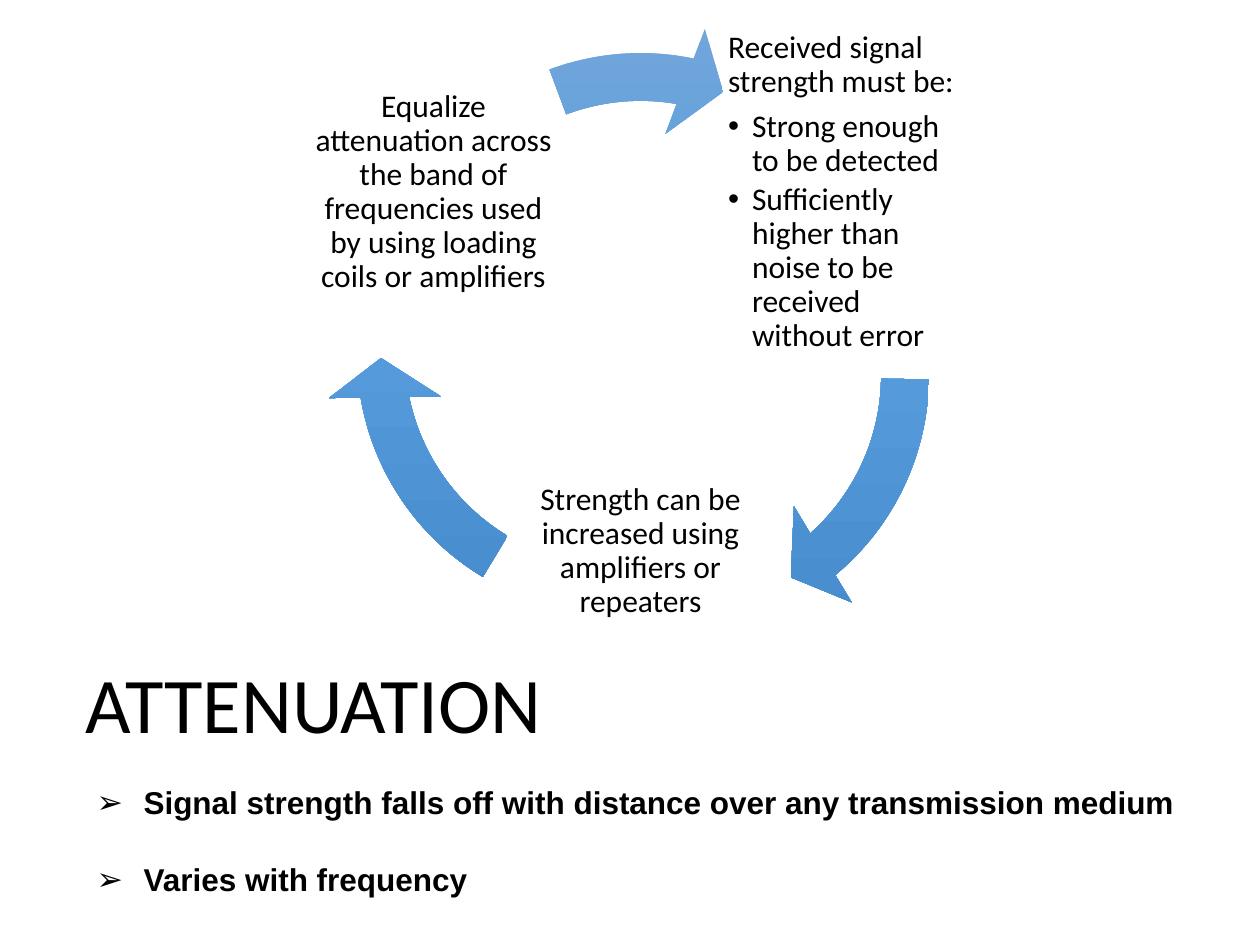
"""Build the attenuation slide: a three-step cycle above a title and a bullet list."""

import copy
from dataclasses import dataclass
from typing import Any

import pptx
import pptx.dml.color
import pptx.enum.shapes
import pptx.enum.text
import pptx.oxml.ns
import pptx.util
from lxml import etree

ALIGN = pptx.enum.text.PP_ALIGN
ANCHOR = pptx.enum.text.MSO_ANCHOR
EMU_PER_PX = 914400 / 126
COLOURS = {"text": "000000", "top": "71A6DB", "middle": "559BDB", "bottom": "448ACA"}
STEP_SIZE = 247
ARROW_SIZE = 583
STEP_INSET = 4
STEP_FONT = {"name": "Calibri", "size": pptx.util.Pt(18)}
TITLE_FONT = {"name": "Calibri", "size": pptx.util.Pt(45)}
LIST_FONT = {"name": "Arial", "size": pptx.util.Pt(18), "bold": True}


@dataclass(frozen=True)
class Step:
    left: int
    top: int
    text: str
    alignment: Any = ALIGN.CENTER
    bullets: tuple[str, ...] = ()


@dataclass(frozen=True)
class Arrow:
    left: int
    top: int
    end_angle: float
    start_angle: float


CYCLE = (
    (
        Step(724, 69, "Received signal strength must be:", ALIGN.LEFT,
             ("Strong enough to be detected",
              "Sufficiently higher than noise to be received without error")),
        Arrow(378, 84, 29.638, 0.518),
    ),
    (
        Step(517, 428, "Strength can be increased using amplifiers or repeaters"),
        Arrow(325, 63, 101.721, 72.601),
    ),
    (
        Step(310, 69, "Equalize attenuation across the band of frequencies used "
                      "by using loading coils or amplifiers"),
        Arrow(349, 21, 168.567, 149.672),
    ),
)
FACTS = (
    "Signal strength falls off with distance over any transmission medium",
    "Varies with frequency",
)


def px(length: float) -> pptx.util.Emu:
    return pptx.util.Emu(round(length * EMU_PER_PX))


def colour(name: str) -> pptx.dml.color.RGBColor:
    return pptx.dml.color.RGBColor.from_string(COLOURS[name])


def apply_format(target: Any, values: dict[str, Any]) -> None:
    for name, value in values.items():
        setattr(target, name, value)


def place(shape: Any, left: int, top: int, width: int, height: int) -> None:
    apply_format(shape, {"left": px(left), "top": px(top),
                         "width": px(width), "height": px(height)})


def add_bullet(paragraph: Any, character: str, indent: int) -> None:
    properties = paragraph._p.get_or_add_pPr()
    properties.set("marL", str(px(indent)))
    properties.set("indent", str(-px(indent)))
    for tag, name, value in (("a:buFont", "typeface", "Arial"), ("a:buChar", "char", character)):
        etree.SubElement(properties, pptx.oxml.ns.qn(tag)).set(name, value)


def write(paragraph: Any, text: str, font: dict[str, Any], layout: dict[str, Any]) -> None:
    run = paragraph.add_run()
    run.text = text
    apply_format(run.font, font)
    run.font.color.rgb = colour("text")
    apply_format(paragraph, layout)


def add_step(shapes: Any, step: Step) -> None:
    frame = shapes.add_textbox(px(step.left), px(step.top),
                               px(STEP_SIZE), px(STEP_SIZE)).text_frame
    margins = {f"margin_{side}": px(STEP_INSET) for side in ("left", "top", "right", "bottom")}
    apply_format(frame, {"word_wrap": True, "vertical_anchor": ANCHOR.MIDDLE, **margins})
    write(frame.paragraphs[0], step.text, STEP_FONT,
          {"alignment": step.alignment, "line_spacing": 0.9, "space_after": pptx.util.Pt(6.3)})
    for bullet in step.bullets:
        paragraph = frame.add_paragraph()
        add_bullet(paragraph, "•", 24)
        write(paragraph, bullet, STEP_FONT,
              {"level": 1, "alignment": step.alignment, "line_spacing": 0.9,
               "space_after": pptx.util.Pt(2.7)})


def add_arrow(shapes: Any, arrow: Arrow) -> None:
    shape = shapes.add_shape(pptx.enum.shapes.MSO_SHAPE.CIRCULAR_ARROW, px(arrow.left),
                             px(arrow.top), px(ARROW_SIZE), px(ARROW_SIZE))
    for index, value in enumerate((0.082, 5.761, arrow.end_angle, arrow.start_angle, 0.096)):
        shape.adjustments[index] = value
    shape.shadow.inherit = False
    shape.line.fill.background()
    shape.fill.gradient()
    shape.fill.gradient_angle = 270
    stop_list = shape.fill._fill._gradFill.gsLst
    stop_list.insert(1, copy.deepcopy(stop_list[0]))
    for stop, name, position in zip(shape.fill.gradient_stops,
                                    ("top", "middle", "bottom"), (0, 0.5, 1)):
        stop.color.rgb = colour(name)
        stop.position = position


def fill_title(title: Any) -> None:
    place(title, 73, 630, 1071, 127)
    apply_format(title.text_frame, {"vertical_anchor": ANCHOR.BOTTOM, "word_wrap": True,
                                    "auto_size": pptx.enum.text.MSO_AUTO_SIZE.NONE})
    write(title.text_frame.paragraphs[0], "ATTENUATION", TITLE_FONT,
          {"alignment": ALIGN.LEFT, "line_spacing": 0.9})


def fill_list(body: Any) -> None:
    place(body, 84, 777, 1134, 127)
    frame = body.text_frame
    apply_format(frame, {"vertical_anchor": ANCHOR.TOP, "word_wrap": True,
                         "auto_size": pptx.enum.text.MSO_AUTO_SIZE.NONE})
    for index, fact in enumerate(FACTS):
        paragraph = frame.add_paragraph() if index else frame.paragraphs[0]
        add_bullet(paragraph, "➢", 47)
        write(paragraph, fact, LIST_FONT,
              {"alignment": ALIGN.LEFT, "space_before": pptx.util.Pt(22.5 if index else 0)})


def main() -> None:
    presentation = pptx.Presentation()
    apply_format(presentation, {"slide_width": px(1260), "slide_height": px(945)})
    slide = presentation.slides.add_slide(presentation.slide_layouts[1])
    fill_title(slide.shapes.title)
    fill_list(slide.placeholders[1])
    cycle_group = slide.shapes.add_group_shape()
    for step, arrow in CYCLE:
        add_step(cycle_group.shapes, step)
        add_arrow(cycle_group.shapes, arrow)
    presentation.save("out.pptx")


if __name__ == "__main__":
    main()
